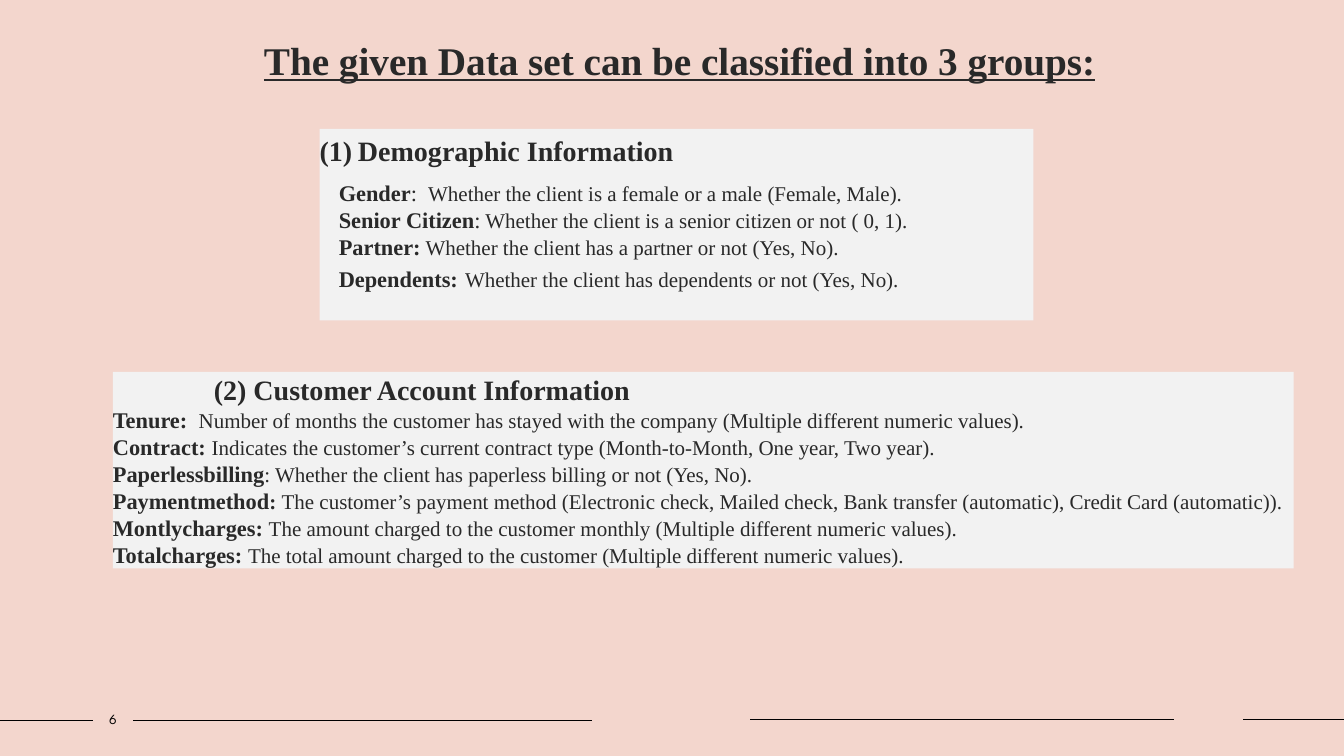
from lxml import etree
from pptx import Presentation
from pptx.dml.color import RGBColor
from pptx.enum import shapes, text
from pptx.oxml import ns
from pptx.util import Inches, Pt

PINK = RGBColor(0xF3, 0xD6, 0xCD)
PANEL_GREY = RGBColor(0xF2, 0xF2, 0xF2)
INK = RGBColor(0x29, 0x29, 0x29)
BLACK = RGBColor(0, 0, 0)
SERIF = "Times New Roman"

HEADING = {"size": Pt(20), "bold": True}
TERM = {"size": Pt(16), "bold": True}
COLON = {"size": Pt(16), "bold": False}
BODY = {"size": Pt(15), "bold": False}
TITLE = {"size": Pt(28), "bold": True, "underline": True}
NUMBER = {"size": Pt(10), "name": "League Spartan"}

TITLE_TEXT = "The given Data set can be classified into 3 groups:"
PAGE_NUMBER = "6"
FOOTER_LINES = [(0, 0.92, 7.15), (1.32, 5.87, 7.15), (7.44, 11.64, 7.14), (12.33, 13.33, 7.14)]

PANELS = [
    {
        "box": (3.17, 1.28, 7.08, 1.9),
        "anchor": text.MSO_ANCHOR.TOP,
        "top_inset": 0.04,
        "heading": "Demographic Information",
        "heading_indent": (0.38, -0.38),
        "numbering": "arabicParenBoth",
        "row_indent": 0.19,
        "gap": 9,
        "rows": [
            [("Gender", TERM), (":  ", COLON),
             ("Whether the client is a female or a male (Female, Male).", BODY)],
            [("Senior Citizen", TERM), (":", COLON),
             (" Whether the client is a senior citizen or not ( 0, 1).", BODY)],
            [("Partner:", TERM),
             (" Whether the client has a partner or not (Yes, No).", BODY)],
            [("Dependents:", TERM), (" ", HEADING),
             ("Whether the client has dependents or not (Yes, No).", BODY)],
        ],
    },
    {
        "box": (1.12, 3.69, 11.71, 1.95),
        "anchor": text.MSO_ANCHOR.MIDDLE,
        "top_inset": 0,
        "heading": "(2) Customer Account Information",
        "heading_indent": (1, 0),
        "numbering": None,
        "row_indent": 0,
        "gap": 0,
        "rows": [
            [("Tenure:  ", TERM),
             ("Number of months the customer has stayed with the company "
              "(Multiple different numeric values).", BODY)],
            [("Contract: ", TERM),
             ("Indicates the customer’s current contract type "
              "(Month-to-Month, One year, Two year).", BODY)],
            [("Paperlessbilling", TERM),
             (": Whether the client has paperless billing or not (Yes, No).", BODY)],
            [("Paymentmethod", TERM), (": ", {"size": Pt(15), "bold": True}),
             ("The customer’s payment method (Electronic check, Mailed check, "
              "Bank transfer (automatic), Credit Card (automatic)).", BODY)],
            [("Montlycharges: ", TERM),
             ("The amount charged to the customer monthly "
              "(Multiple different numeric values).", BODY)],
            [("Totalcharges: ", TERM),
             ("The total amount charged to the customer "
              "(Multiple different numeric values).", BODY)],
        ],
    },
]


def add_run(paragraph, words, formats, color=INK):
    run = paragraph.add_run()
    run.text = words
    for name, value in {"name": SERIF, **formats}.items():
        setattr(run.font, name, value)
    run.font.color.rgb = color


def set_indent(paragraph, margin, first=0, numbering=None):
    properties = paragraph._p.get_or_add_pPr()
    properties.set("marL", str(Inches(margin)))
    properties.set("indent", str(Inches(first)))
    if numbering:
        font = etree.SubElement(properties, ns.qn("a:buFont"))
        font.set("typeface", SERIF)
        bullet = etree.SubElement(properties, ns.qn("a:buAutoNum"))
        bullet.set("type", numbering)


def set_frame(frame, anchor, left=0, top=0, right=0, bottom=0):
    formats = {
        "word_wrap": True, "vertical_anchor": anchor,
        "margin_left": Inches(left), "margin_top": Inches(top),
        "margin_right": Inches(right), "margin_bottom": Inches(bottom),
    }
    for name, value in formats.items():
        setattr(frame, name, value)


def add_centered_text(slide, box, words, formats, color, anchor, side_inset):
    frame = slide.shapes.add_textbox(*map(Inches, box)).text_frame
    set_frame(frame, anchor, side_inset, 0.05, side_inset, 0.05)
    paragraph = frame.paragraphs[0]
    paragraph.alignment = text.PP_ALIGN.CENTER
    add_run(paragraph, words, formats, color)


def add_panel(slide, panel):
    shape = slide.shapes.add_shape(shapes.MSO_SHAPE.RECTANGLE, *map(Inches, panel["box"]))
    shape.shadow.inherit = False
    shape.fill.solid()
    shape.fill.fore_color.rgb = PANEL_GREY
    shape.line.fill.background()
    frame = shape.text_frame
    set_frame(frame, panel["anchor"], top=panel["top_inset"])

    heading = frame.paragraphs[0]
    heading.alignment = text.PP_ALIGN.LEFT
    set_indent(heading, *panel["heading_indent"], panel["numbering"])
    add_run(heading, panel["heading"], HEADING)
    heading.space_after = Pt(panel["gap"])

    for row in panel["rows"]:
        paragraph = frame.add_paragraph()
        paragraph.alignment = text.PP_ALIGN.LEFT
        set_indent(paragraph, panel["row_indent"])
        for words, formats in row:
            add_run(paragraph, words, formats)


def add_footer_line(slide, start, end, y):
    line = slide.shapes.add_connector(
        shapes.MSO_CONNECTOR.STRAIGHT, Inches(start), Inches(y), Inches(end), Inches(y))
    line.line.color.rgb = BLACK
    line.line.width = Pt(1)
    etree.SubElement(line._element.spPr, ns.qn("a:effectLst"))


def main():
    presentation = Presentation()
    presentation.slide_width = Inches(13.33)
    presentation.slide_height = Inches(7.5)
    slide = presentation.slides.add_slide(presentation.slide_layouts[6])
    slide.background.fill.solid()
    slide.background.fill.fore_color.rgb = PINK

    for footer_line in FOOTER_LINES:
        add_footer_line(slide, *footer_line)
    add_centered_text(slide, (0.92, 7, 0.4, 0.27), PAGE_NUMBER, NUMBER, BLACK,
                      text.MSO_ANCHOR.MIDDLE, 0)
    add_centered_text(slide, (0.35, 0.31, 12.78, 6.9), TITLE_TEXT, TITLE, INK,
                      text.MSO_ANCHOR.TOP, 0.1)
    for panel in PANELS:
        add_panel(slide, panel)
    presentation.save("out.pptx")


if __name__ == "__main__":
    main()
